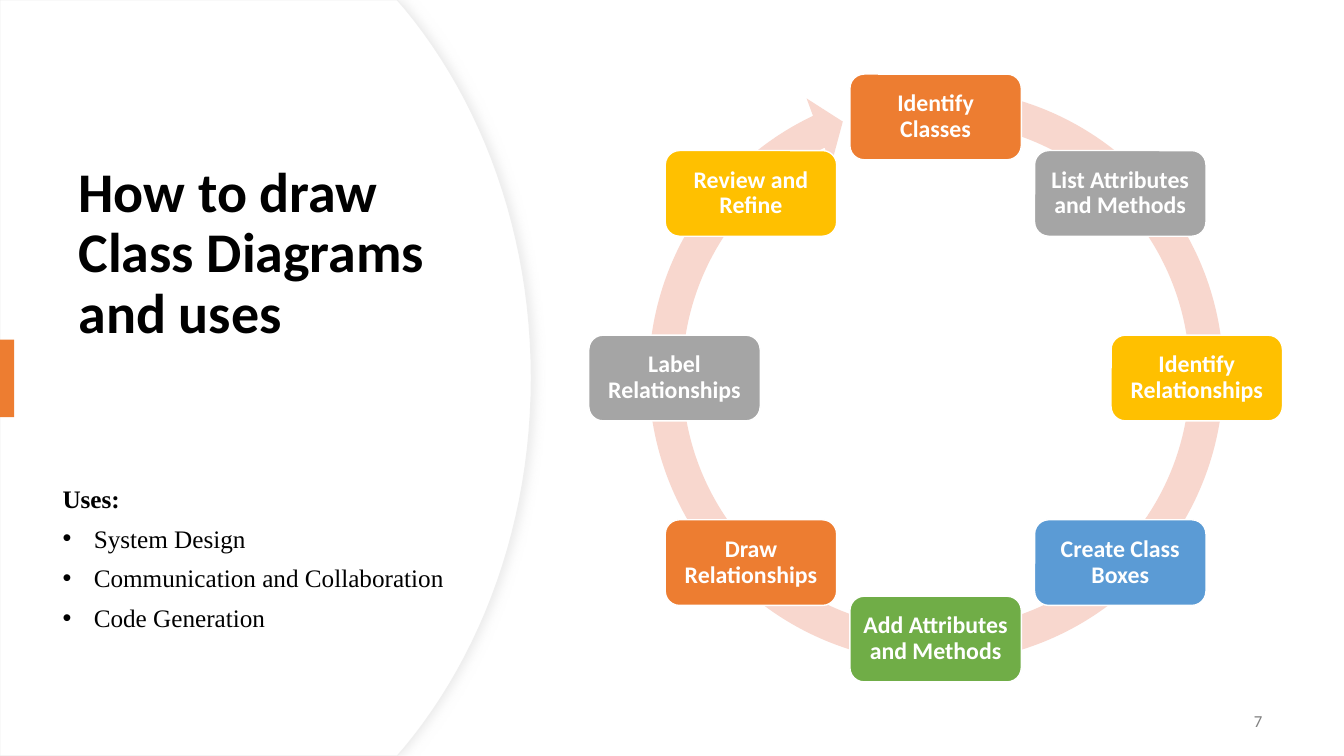
"""Build a slide with a circular process diagram beside a title and a short list."""
import math

from lxml import etree
from pptx import Presentation, util as u
from pptx.dml.color import RGBColor
from pptx.enum import shapes, text
from pptx.oxml.ns import qn

STEPS = [
    ("Identify Classes", "ED7D31"),
    ("List Attributes and Methods", "A5A5A5"),
    ("Identify Relationships", "FFC000"),
    ("Create Class Boxes", "5B9BD5"),
    ("Add Attributes and Methods", "70AD47"),
    ("Draw Relationships", "ED7D31"),
    ("Label Relationships", "A5A5A5"),
    ("Review and Refine", "FFC000"),
]
USES = ["System Design", "Communication and Collaboration", "Code Generation"]
CENTER_X, CENTER_Y, RADIUS = 9.28, 3.75, 2.59
BOX_WIDTH, BOX_HEIGHT = 1.7, 0.85


def color(value):
    return RGBColor.from_string(value)


def write(paragraph, content, size=18, font="Calibri", fill="000000", bold=False,
          align=text.PP_ALIGN.LEFT, spacing=1.0, after=0):
    run = paragraph.add_run()
    run.text = content
    run.font.name, run.font.size, run.font.bold = font, u.Pt(size), bold
    run.font.color.rgb = color(fill)
    paragraph.alignment = align
    paragraph.line_spacing = spacing
    paragraph.space_before, paragraph.space_after = u.Pt(0), u.Pt(after)


def set_bullet(paragraph, symbol=None, indent=0.0):
    properties = paragraph._p.get_or_add_pPr()
    properties.set("marL", str(u.Inches(indent)))
    properties.set("indent", str(-u.Inches(indent)))
    if symbol:
        etree.SubElement(properties, qn("a:buChar")).set("char", symbol)
    else:
        etree.SubElement(properties, qn("a:buNone"))


def bezier(start, first, second, end, count=24):
    for step in range(count + 1):
        t = step / count
        weights = ((1 - t) ** 3, 3 * t * (1 - t) ** 2, 3 * t * t * (1 - t), t ** 3)
        yield tuple(sum(w * point[axis] for w, point in zip(weights, (start, first, second, end)))
                    for axis in (0, 1))


class SlideBuilder:
    def __init__(self, slide):
        self.slide = slide
        self.font = "Calibri"
        self.list_font = "Times New Roman"
        self.accent = "ED7D31"

    def place(self, shape, left, top, width, height, anchor):
        shape.left, shape.top = u.Inches(left), u.Inches(top)
        shape.width, shape.height = u.Inches(width), u.Inches(height)
        frame = shape.text_frame
        frame.word_wrap = True
        frame.auto_size = text.MSO_AUTO_SIZE.NONE
        frame.vertical_anchor = anchor
        return frame

    def paint(self, shape, fill, line=None, width=1.0):
        shape.shadow.inherit = False
        shape.fill.solid()
        shape.fill.fore_color.rgb = color(fill)
        if line:
            shape.line.color.rgb = color(line)
            shape.line.width = u.Pt(width)
        else:
            shape.line.fill.background()

    def shape(self, kind, left, top, width, height, fill, line=None):
        shape = self.slide.shapes.add_shape(
            kind, u.Inches(left), u.Inches(top), u.Inches(width), u.Inches(height))
        self.paint(shape, fill, line)
        return shape

    def curved_panel(self):
        upper = list(bezier((4.01, 0.08), (4.79, 1.02), (5.27, 2.32), (5.27, 3.75)))
        lower = [(x, 7.5 - y) for x, y in reversed(upper[:-1])]
        outline = [(3.94, 0), *upper, *lower, (3.94, 7.5), (0, 7.5)]
        builder = self.slide.shapes.build_freeform(0, 0)
        builder.add_line_segments([(u.Inches(x), u.Inches(y)) for x, y in outline])
        panel = builder.convert_to_shape()
        self.paint(panel, "FFFFFF", "EFEFEF", 0.75)
        effects = panel._element.spPr.find(qn("a:effectLst"))
        shadow = etree.SubElement(effects, qn("a:outerShdw"), blurRad=str(u.Pt(7)),
                                  dist=str(u.Pt(3)), dir="0", algn="l", rotWithShape="0")
        tint = etree.SubElement(shadow, qn("a:srgbClr"), val="D9D9D9")
        etree.SubElement(tint, qn("a:alpha"), val="50000")
        self.slide.shapes._spTree.insert(2, panel._element)

    def title(self, content):
        frame = self.place(self.slide.shapes.title, 0.68, 0.46, 3.94, 4.13,
                           text.MSO_ANCHOR.MIDDLE)
        write(frame.paragraphs[0], content, size=40, font=self.font, bold=True, spacing=0.9)

    def uses(self, heading, items):
        frame = self.place(self.slide.placeholders[1], 0.52, 4.73, 4.28, 1.95,
                           text.MSO_ANCHOR.TOP)
        style = {"font": self.list_font, "spacing": 1.04, "after": 6}
        write(frame.paragraphs[0], heading, bold=True, **style)
        set_bullet(frame.paragraphs[0])
        for item in items:
            paragraph = frame.add_paragraph()
            write(paragraph, item, **style)
            set_bullet(paragraph, "•", 0.31)

    def accent_bar(self):
        self.shape(shapes.MSO_SHAPE.RECTANGLE, 0, 3.37, 0.14, 0.77, self.accent)

    def page_number(self, number):
        box = self.slide.shapes.add_textbox(0, 0, 0, 0)
        frame = self.place(box, 9.62, 6.95, 3, 0.4, text.MSO_ANCHOR.MIDDLE)
        write(frame.paragraphs[0], number, size=12, font=self.font, fill="808080",
              align=text.PP_ALIGN.RIGHT, after=6)

    def cycle_arrow(self):
        arrow = self.shape(shapes.MSO_SHAPE.CIRCULAR_ARROW, 6.25, 0.69, 6.07, 6.07, "F8D7CE")
        for index, value in enumerate((0.055, 3.307, 146.586, 168.689, 0.058)):
            arrow.adjustments[index] = value

    def step_box(self, label, fill, angle):
        left = CENTER_X + RADIUS * math.sin(angle) - BOX_WIDTH / 2
        top = CENTER_Y - RADIUS * math.cos(angle) - BOX_HEIGHT / 2
        box = self.shape(shapes.MSO_SHAPE.ROUNDED_RECTANGLE, left, top,
                         BOX_WIDTH, BOX_HEIGHT, fill, "FFFFFF")
        frame = self.place(box, left, top, BOX_WIDTH, BOX_HEIGHT, text.MSO_ANCHOR.MIDDLE)
        frame.margin_left = frame.margin_right = u.Inches(0.07)
        frame.margin_top = frame.margin_bottom = u.Inches(0.07)
        write(frame.paragraphs[0], label, size=17, font=self.font, fill="FFFFFF", bold=True,
              align=text.PP_ALIGN.CENTER, spacing=0.9)


def main():
    presentation = Presentation()
    presentation.slide_width, presentation.slide_height = u.Inches(13.33), u.Inches(7.5)
    builder = SlideBuilder(presentation.slides.add_slide(presentation.slide_layouts[1]))
    builder.curved_panel()
    builder.title("How to draw Class Diagrams and uses")
    builder.accent_bar()
    builder.page_number("7")
    builder.uses("Uses:", USES)
    builder.cycle_arrow()
    for index, (label, fill) in enumerate(STEPS):
        builder.step_box(label, fill, index * math.tau / len(STEPS))
    presentation.save("out.pptx")


if __name__ == "__main__":
    main()
